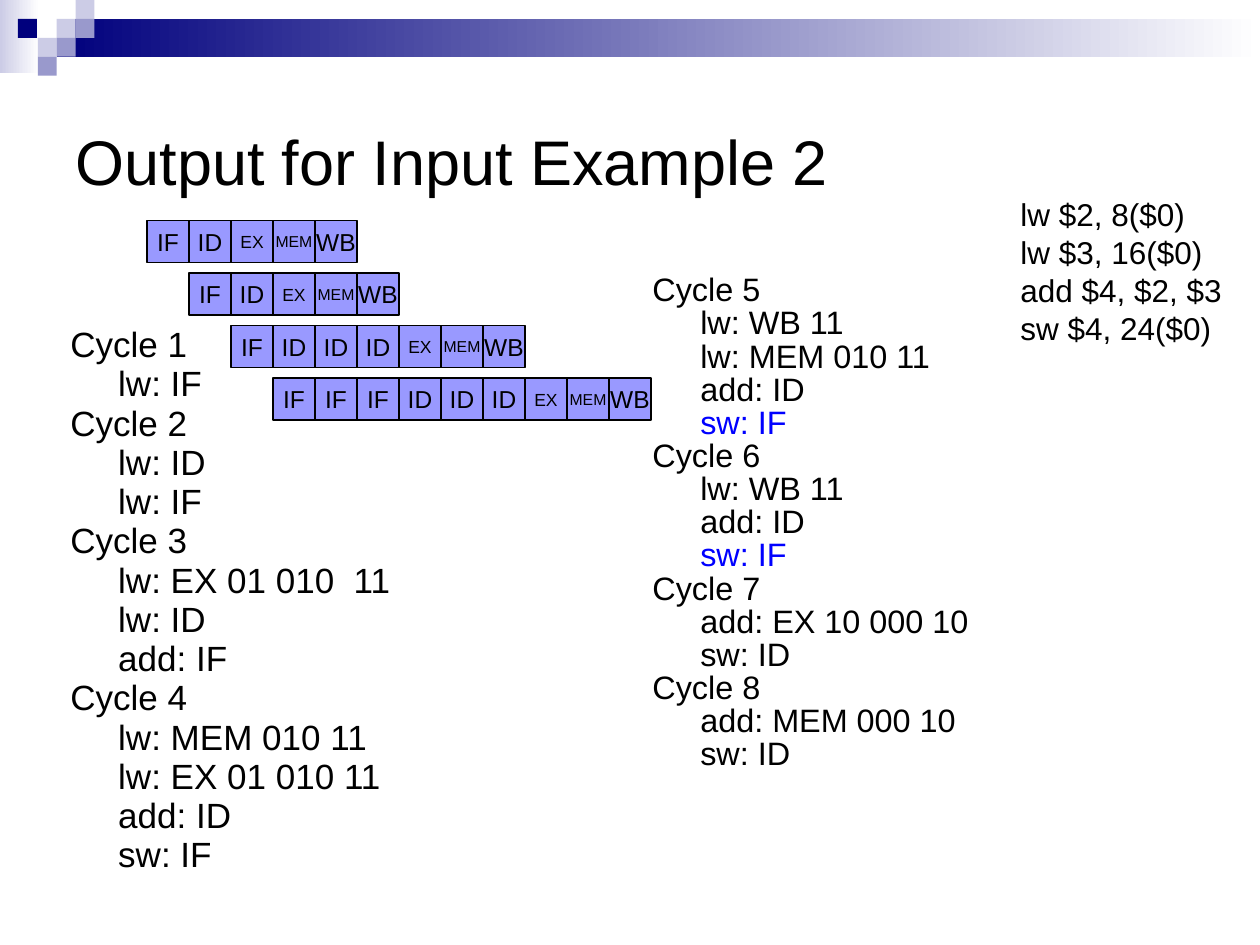
from pptx import Presentation
from pptx.dml.color import RGBColor
from pptx.enum.shapes import MSO_SHAPE as Shape
from pptx.enum.text import MSO_ANCHOR as Anchor, PP_ALIGN as Align
from pptx.util import Inches, Pt

COLORS = {
    "navy": "00007D",
    "lilac": "CCCCE6",
    "violet": "9999CC",
    "stage": "9999FF",
    "blue": "0000FF",
    "black": "000000",
    "white": "FFFFFF",
}
TILE = 0.15
STAGE = 1 / 3
ROW_STEP = 1.25
STAGE_SIZES = {"EX": 10, "MEM": 9}


def color(name):
    return RGBColor.from_string(COLORS[name])


def write(para, text, size=18, tint="black", font="Arial", align=Align.LEFT,
          indent=0, spacing=None, before=0):
    para.alignment = align
    para.space_before = Pt(before)
    if spacing:
        para.line_spacing = spacing
    if indent:
        properties = para._p.get_or_add_pPr()
        properties.set("marL", str(Inches(indent)))
        properties.set("indent", "0")
    span = para.add_run()
    span.text = text
    span.font.name = font
    span.font.size = Pt(size)
    span.font.color.rgb = color(tint)


class SlideBuilder:
    def __init__(self, deck):
        self.width, self.height = deck.slide_width, deck.slide_height
        self.page = deck.slides.add_slide(deck.slide_layouts[5])

    def share(self, left, top, width, height):
        return (int(left * self.width), int(top * self.height),
                int(width * self.width), int(height * self.height))

    def title(self, text, place):
        box = self.page.shapes.title
        box.left, box.top, box.width, box.height = self.share(*place)
        box.text_frame.vertical_anchor = Anchor.MIDDLE
        write(box.text_frame.paragraphs[0], text, size=36)

    def tile(self, col, row, cols=1, rows=1, fill="lilac", fade=False, unit=TILE):
        place = [Inches(unit * cells) for cells in (col, row, cols, rows)]
        box = self.page.shapes.add_shape(Shape.RECTANGLE, *place)
        box.shadow.inherit = False
        box.line.fill.background()
        if fade:
            box.fill.gradient()
            box.fill.gradient_angle = 0
            for stop, name in zip(box.fill.gradient_stops, (fill, "white")):
                stop.color.rgb = color(name)
        else:
            box.fill.solid()
            box.fill.fore_color.rgb = color(fill)
        return box

    def stage(self, name, col, row):
        box = self.tile(col, row, fill="stage", unit=STAGE)
        box.line.color.rgb = color("black")
        box.line.width = Pt(0.75)
        box.text_frame.word_wrap = False
        box.text_frame.vertical_anchor = Anchor.MIDDLE
        write(box.text_frame.paragraphs[0], name,
              size=STAGE_SIZES.get(name, 14), align=Align.CENTER)

    def pipeline(self, instructions, col, row):
        for step, stages in enumerate(instructions):
            for offset, name in enumerate(stages.split()):
                self.stage(name, col + step + offset, row + step * ROW_STEP)

    def lines(self, place, entries, wrap=True, inset=0.05, **style):
        frame = self.page.shapes.add_textbox(*self.share(*place)).text_frame
        frame.word_wrap = wrap
        frame.margin_top = Inches(inset)
        for index, (text, extra) in enumerate(entries):
            para = frame.add_paragraph() if index else frame.paragraphs[0]
            write(para, text, **{**style, **extra})

    def cycles(self, place, cycles, size, spacing, marked=""):
        entries = []
        for cycle, steps in cycles.items():
            entries.append((f"Cycle {cycle}", {}))
            for step in steps:
                tint = "blue" if step == marked else "black"
                entries.append((step, {"indent": 0.38, "tint": tint}))
        self.lines(place, entries, inset=0.08, size=size, spacing=spacing, before=5.6)


def main():
    deck = Presentation()
    deck.slide_width, deck.slide_height = Inches(10), Inches(7.5)
    slide = SlideBuilder(deck)

    slide.tile(0, 0, 2.07, 3.87, fill="lilac", fade=True)
    slide.tile(3, 1, 63.67, 2, fill="navy", fade=True)
    for col, row, fill in [(3, 1, "lilac"), (4, 0, "lilac"), (4, 1, "violet"),
                           (2, 2, "lilac"), (0.95, 1, "navy"), (3, 2, "violet"),
                           (2, 3, "violet")]:
        slide.tile(col, row, fill=fill)

    slide.title("Output for Input Example 2", (0.05, 0.07, 0.9, 0.2))
    slide.cycles((0.046, 0.343, 0.442, 0.656), {
        1: ["lw: IF"],
        2: ["lw: ID", "lw: IF"],
        3: ["lw: EX 01 010  11", "lw: ID", "add: IF"],
        4: ["lw: MEM 010 11", "lw: EX 01 010 11", "add: ID", "sw: IF"],
    }, size=20, spacing=0.7)
    slide.cycles((0.508, 0.289, 0.442, 0.567), {
        5: ["lw: WB 11", "lw: MEM 010 11", "add: ID", "sw: IF"],
        6: ["lw: WB 11", "add: ID", "sw: IF"],
        7: ["add: EX 10 000 10", "sw: ID"],
        8: ["add: MEM 000 10", "sw: ID"],
    }, size=18.5, spacing=0.6, marked="sw: IF")

    program = ["lw $2, 8($0)", "lw $3, 16($0)", "add $4, $2, $3", "sw $4, 24($0)"]
    slide.lines((0.8, 0.2, 0.18, 0.173), [(line, {}) for line in program], wrap=False)
    slide.pipeline([
        "IF ID EX MEM WB",
        "IF ID EX MEM WB",
        "IF ID ID ID EX MEM WB",
        "IF IF IF ID ID ID EX MEM WB",
    ], col=3.5, row=5.25)

    deck.save("out.pptx")


if __name__ == "__main__":
    main()
